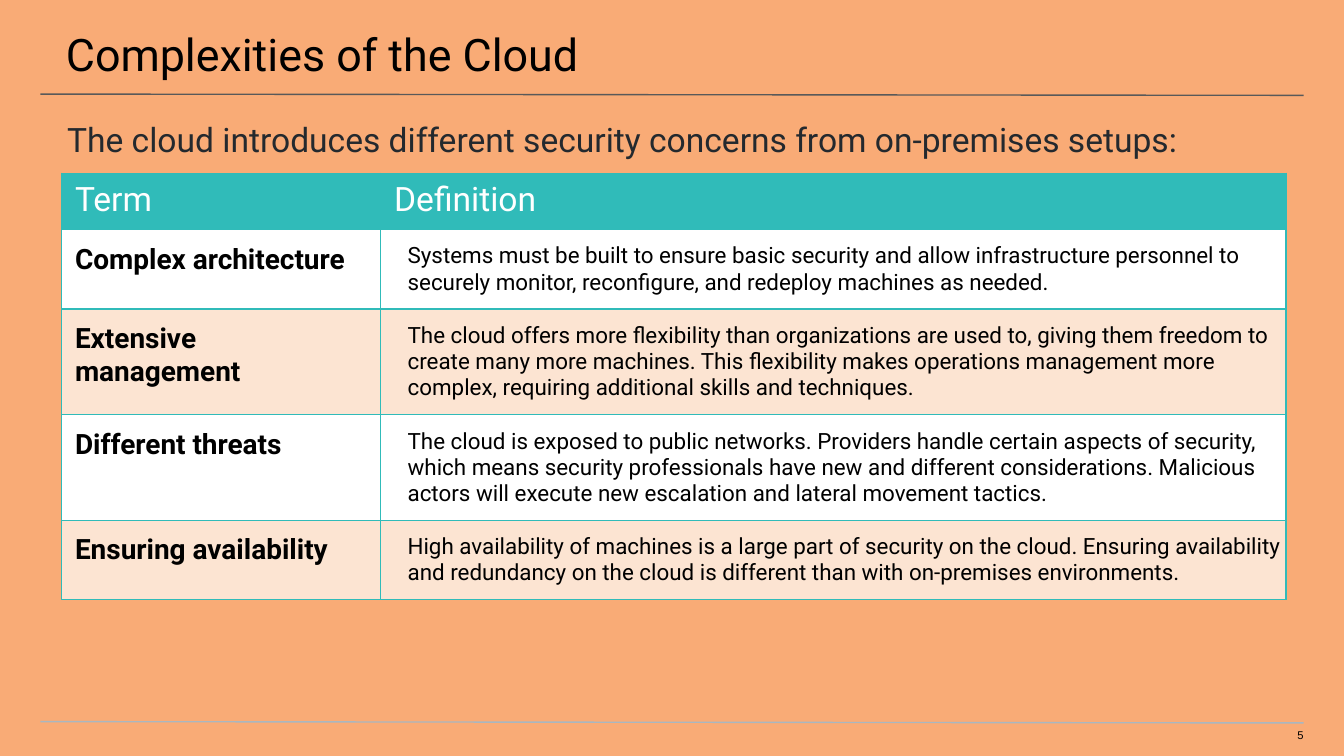
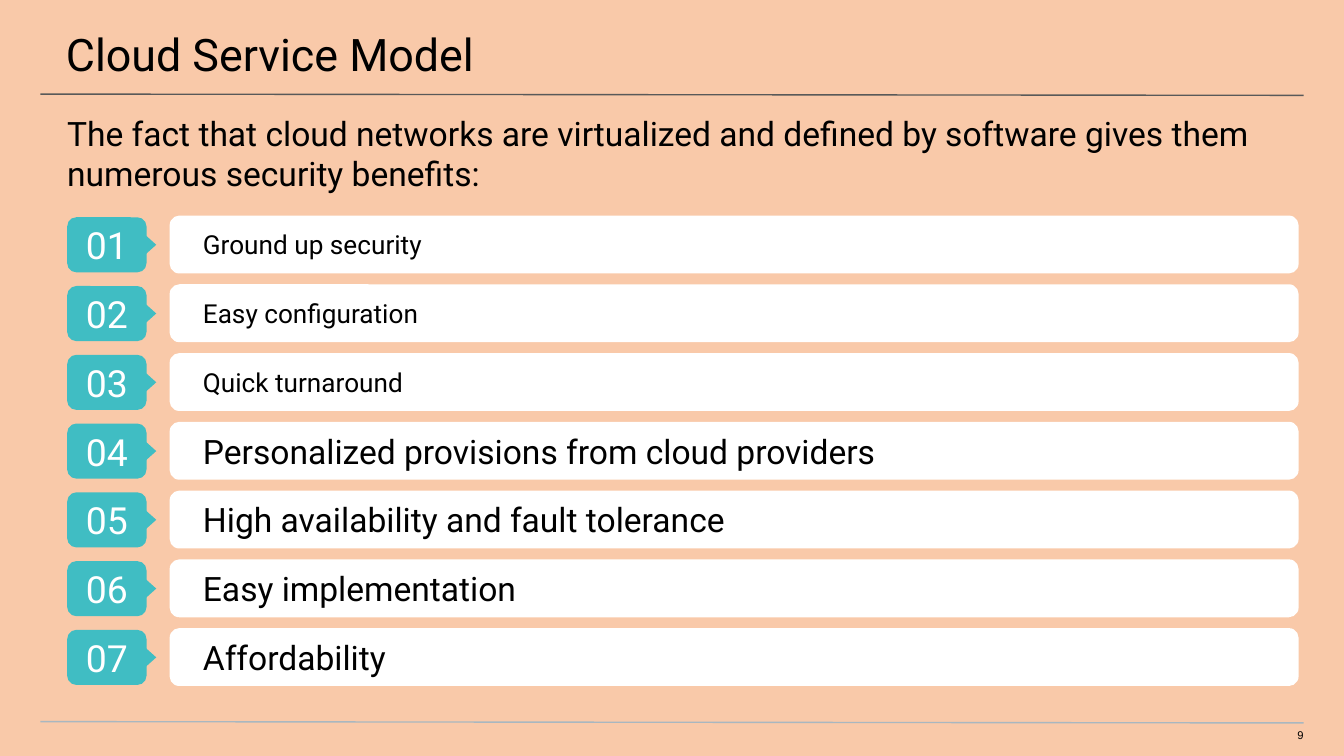
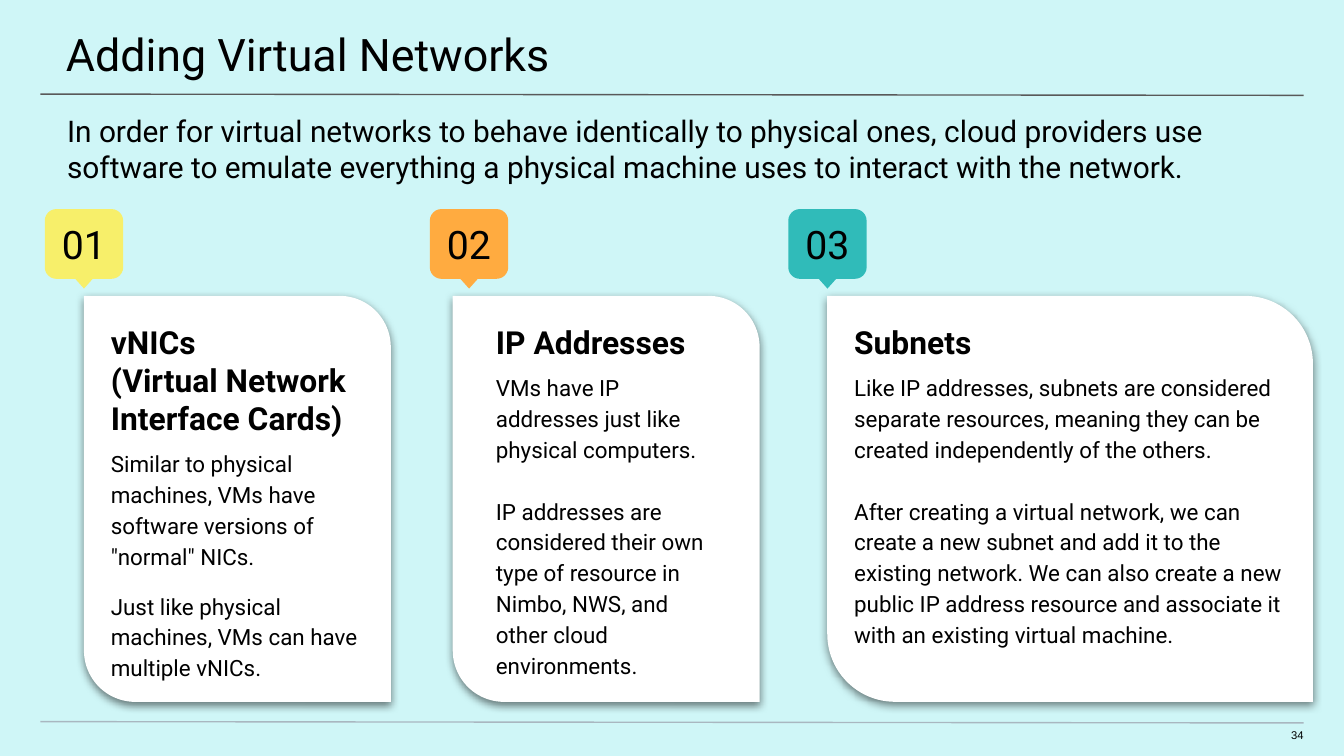
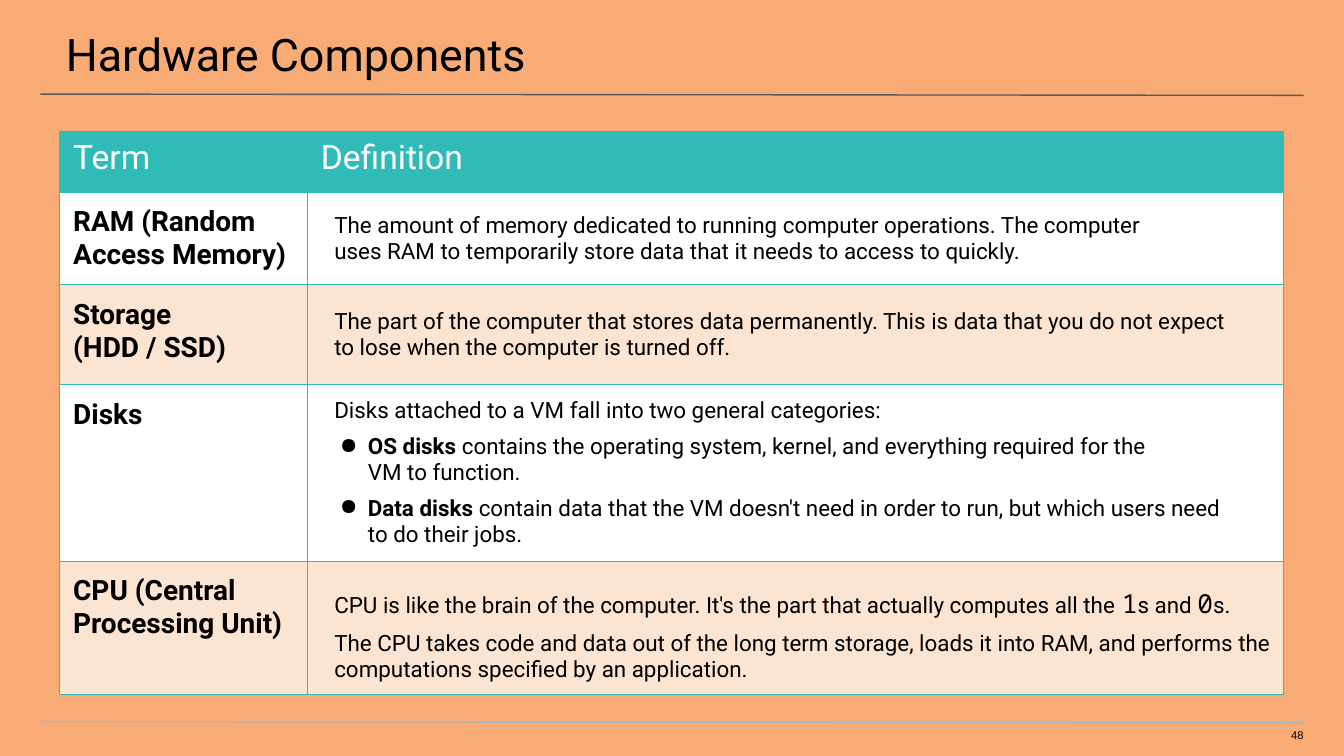
"""Build four slides about cloud networks and virtual hardware."""
from collections import namedtuple

from lxml import etree
from pptx import Presentation
from pptx.dml.color import RGBColor
from pptx.enum.shapes import MSO_CONNECTOR, MSO_SHAPE
from pptx.enum.text import MSO_ANCHOR, MSO_AUTO_SIZE, PP_ALIGN
from pptx.oxml.ns import qn
from pptx.util import Pt

TOP, MIDDLE = MSO_ANCHOR.TOP, MSO_ANCHOR.MIDDLE
LEFT, CENTER, RIGHT = PP_ALIGN.LEFT, PP_ALIGN.CENTER, PP_ALIGN.RIGHT
ROUNDED, POINTER = MSO_SHAPE.ROUNDED_RECTANGLE, MSO_SHAPE.FLOWCHART_EXTRACT
DIAGONAL = MSO_SHAPE.ROUND_2_DIAG_RECTANGLE
STRAIGHT = MSO_CONNECTOR.STRAIGHT
NO_FIT = MSO_AUTO_SIZE.NONE
TITLE_ONLY = 5

FONT, MONO, NUMBER_FONT = "Roboto", "Noto Sans Mono", "Arial"
BLACK, WHITE, TEAL, AQUA = "000000", "FFFFFF", "30BBB9", "40BDC3"
YELLOW, AMBER, INK = "F7EF6A", "FFAB40", "24292E"
ORANGE, PEACH, ICE, BAND = "F9AB76", "F9C9A9", "CFF6F7", "FCE4D2"
GREY, SILVER = "595959", "A9B7C0"
CORNER = 0.167

Para = namedtuple("Para", "runs size bold before after spacing bullet",
                  defaults=(None, None, 0, 0, None, False))
Run = namedtuple("Run", "text bold font size", defaults=(None, None, None))
Row = namedtuple("Row", "height term definition anchor bottom", defaults=(TOP, 7.2))


def rgb(value):
    return RGBColor.from_string(value)


def add_xml(parent, tag, **attrs):
    return etree.SubElement(parent, qn(tag), attrs)


def add_color(parent, color):
    return add_xml(parent, "a:srgbClr", val=color)


class Deck:
    def __init__(self):
        self.prs = Presentation()
        self.prs.slide_width, self.prs.slide_height = Pt(720), Pt(405)
        self.s = None

    def slide(self, title, number, background):
        self.s = self.prs.slides.add_slide(self.prs.slide_layouts[TITLE_ONLY])
        fill = self.s.background.fill
        fill.solid()
        fill.fore_color.rgb = rgb(background)
        self.rule(50.4, GREY)
        self.rule(386.6, SILVER)
        sp = self.s.shapes.title
        sp.left, sp.top, sp.width, sp.height = Pt(-0.7), Pt(0), Pt(722), Pt(41.8)
        sp.text_frame.auto_size = NO_FIT
        self.frame(sp.text_frame, (36, 14.4, 21.6, 7.2))
        self.paragraphs(sp.text_frame, [title], 24)
        self.text([str(number)], (677.5, 390.2, 20.9, 8.6), 6, insets=(0, 0, 0, 7.2),
                  align=RIGHT, font=NUMBER_FONT)

    def rule(self, y, color):
        line = self.s.shapes.add_connector(STRAIGHT, Pt(21.6), Pt(y), Pt(698.4), Pt(y + 0.7))
        line.line.color.rgb = rgb(color)
        line.line.width = Pt(0.75)
        add_xml(line.element.spPr, "a:effectLst")

    def frame(self, box, insets, anchor=TOP):
        box.margin_left, box.margin_top, box.margin_right, box.margin_bottom = map(Pt, insets)
        box.vertical_anchor = anchor

    def paragraphs(self, tf, paras, size, color=BLACK, align=LEFT, font=FONT, bold=False):
        for i, item in enumerate(paras):
            para = Para(item) if isinstance(item, str) else item
            p = tf.paragraphs[0] if i == 0 else tf.add_paragraph()
            if para.bullet:
                self.bullet(p)
            p.alignment = align
            p.space_before, p.space_after = Pt(para.before), Pt(para.after)
            if para.spacing:
                p.line_spacing = para.spacing
            p.font.name = font
            p.font.size = Pt(para.size or size)
            p.font.bold = bold if para.bold is None else para.bold
            p.font.color.rgb = rgb(color)
            runs = [Run(para.runs)] if isinstance(para.runs, str) else para.runs
            for run in runs:
                self.run(p, run)

    def run(self, p, run):
        for i, line in enumerate(run.text.split("\n")):
            if i:
                p.add_line_break()
            r = p.add_run()
            r.text = line
            if run.bold:
                r.font.bold = True
            if run.font:
                r.font.name = run.font
            if run.size:
                r.font.size = Pt(run.size)

    def bullet(self, p):
        pPr = p._p.get_or_add_pPr()
        pPr.set("marL", str(Pt(18)))
        pPr.set("indent", str(Pt(-15)))
        add_color(add_xml(pPr, "a:buClr"), BLACK)
        add_xml(pPr, "a:buChar", char="●")

    def text(self, paras, box, size, insets=(0, 0, 0, 0), anchor=TOP, **style):
        tf = self.s.shapes.add_textbox(*map(Pt, box)).text_frame
        tf.word_wrap = True
        tf.auto_size = NO_FIT
        self.frame(tf, insets, anchor)
        self.paragraphs(tf, paras, size, **style)

    def intro(self, para, size, color=BLACK):
        self.text([para], (0, 53.3, 720, 28.8), size, (36, 7.2, 28.8, 0), color=color)

    def shape(self, kind, box, fill, shapes=None):
        sp = (shapes or self.s.shapes).add_shape(kind, *map(Pt, box))
        sp.shadow.inherit = False
        sp.fill.solid()
        sp.fill.fore_color.rgb = rgb(fill)
        sp.line.fill.background()
        return sp

    def rounded(self, box, fill, shapes=None):
        sp = self.shape(ROUNDED, box, fill, shapes)
        sp.adjustments[0] = CORNER
        return sp

    def badge(self, label, box, fill, size, color, down=False):
        x, y, w, h = box
        shapes = self.s.shapes.add_group_shape().shapes
        sp = self.rounded(box, fill, shapes)
        sp.text_frame.word_wrap = True
        self.frame(sp.text_frame, (7.2,) * 4, MIDDLE)
        self.paragraphs(sp.text_frame, [label], size, color, CENTER)
        cx, cy = (x + w / 2, y + h - 0.5) if down else (x + w - 0.5, y + h / 2)
        pointer = self.shape(POINTER, (cx - 10.2, cy - 5.7, 20.4, 11.4), fill, shapes)
        pointer.rotation = 180 if down else 90

    def card(self, box):
        sp = self.shape(DIAGONAL, box, WHITE)
        sp.adjustments[0], sp.adjustments[1] = CORNER, 0
        spPr = sp.element.spPr
        spPr.find(qn("a:xfrm")).set("flipH", "1")
        shadow = add_xml(spPr.find(qn("a:effectLst")), "a:outerShdw", blurRad=str(Pt(4.5)),
                         dist=str(Pt(1.5)), dir="5400000", algn="bl", rotWithShape="0")
        add_xml(add_color(shadow, BLACK), "a:alpha", val="50000")

    def cell(self, cell, paras, fill, insets, size, anchor=TOP, **style):
        tcPr = cell._tc.get_or_add_tcPr()
        for side in "LRTB":
            ln = add_xml(tcPr, f"a:ln{side}", w=str(Pt(0.75)))
            add_color(add_xml(ln, "a:solidFill"), TEAL)
        cell.fill.solid()
        cell.fill.fore_color.rgb = rgb(fill)
        self.frame(cell, insets, anchor)
        self.paragraphs(cell.text_frame, paras, size, **style)

    def table(self, left, top, widths, header_height, rows):
        heights = [header_height] + [row.height for row in rows]
        table = self.s.shapes.add_table(len(heights), len(widths), Pt(left), Pt(top),
                                        Pt(sum(widths)), Pt(sum(heights))).table
        table.first_row = table.horz_banding = False
        for column, width in zip(table.columns, widths):
            column.width = Pt(width)
        for table_row, height in zip(table.rows, heights):
            table_row.height = Pt(height)
        for c, label in enumerate(("Term", "Definition")):
            self.cell(table.cell(0, c), [label], TEAL, (7.2, 3.6, 7.2, 0), 18, color=WHITE)
        for i, row in enumerate(rows, 1):
            fill = WHITE if i % 2 else BAND
            self.cell(table.cell(i, 0), [row.term], fill, (7.2,) * 4, 15, bold=True)
            self.cell(table.cell(i, 1), row.definition, fill, (14.4, 7.2, 0, row.bottom),
                      12, row.anchor)


def complexities(deck):
    deck.slide("Complexities of the Cloud", 5, ORANGE)
    deck.intro(Para("The cloud introduces different security concerns from on-premises setups:",
                    spacing=1.15), 18, INK)
    deck.table(33, 92.8, (171, 485), 30.2, [
        Row(42.6, "Complex architecture", [
            "Systems must be built to ensure basic security and allow infrastructure personnel "
            "to securely monitor, reconfigure, and redeploy machines as needed."]),
        Row(56.5, "Extensive management", [
            "The cloud offers more flexibility than organizations are used to, giving them "
            "freedom to create many more machines. This flexibility makes operations management "
            "more complex, requiring additional skills and techniques."]),
        Row(56.5, "Different threats", [
            "The cloud is exposed to public networks. Providers handle certain aspects of "
            "security, which means security professionals have new and different considerations. "
            "Malicious actors will execute new escalation and lateral movement tactics."]),
        Row(42.6, "Ensuring availability", [
            "High availability of machines is a large part of security on the cloud. Ensuring "
            "availability and redundancy on the cloud is different than with on-premises "
            "environments."]),
    ])


def service_model(deck):
    deck.slide("Cloud Service Model", 9, PEACH)
    deck.intro("The fact that cloud networks are virtualized and defined by software gives them "
               "numerous security benefits:", 18)
    benefits = [("Ground up security", 14), ("Easy configuration", 14), ("Quick turnaround", 14),
                ("Personalized provisions from cloud providers", 18),
                ("High availability and fault tolerance", 18),
                ("Easy implementation", 18), ("Affordability", 18)]
    for i, (benefit, size) in enumerate(benefits):
        y = 115.5 + 36.84 * i
        deck.rounded((90.9, y, 604.8, 31), WHITE)
        deck.text([benefit], (108.7, y, 510.5, 31), size, (0, 0, 36, 0), MIDDLE)
        deck.badge(f"{i + 1:02}", (36, y + 0.9, 42.5, 29.5), AQUA, 20, WHITE)


def virtual_networks(deck):
    deck.slide("Adding Virtual Networks", 34, ICE)
    deck.intro("In order for virtual networks to behave identically to physical ones, cloud "
               "providers use software to emulate everything a physical machine uses to interact "
               "with the network.", 16)
    cards = [
        (45, 164.4, 45, 164.4, 24, YELLOW, "vNICs\n(Virtual Network Interface Cards)",
         "Similar to physical machines, VMs have software versions of \"normal\" NICs.", 10,
         "Just like physical machines, VMs can have multiple vNICs."),
        (242.6, 164.4, 251.3, 147, 230.3, AMBER, "IP Addresses",
         "VMs have IP addresses just like physical computers.", 16.5,
         "IP addresses are considered their own type of resource in Nimbo, NWS, and other "
         "cloud environments."),
        (443.2, 260.2, 443.2, 260.2, 422.3, TEAL, "Subnets",
         "Like IP addresses, subnets are considered separate resources, meaning they can be "
         "created independently of the others.", 16.5,
         "After creating a virtual network, we can create a new subnet and add it to the "
         "existing network. We can also create a new public IP address resource and associate "
         "it with an existing virtual machine."),
    ]
    for i, (x, w, text_x, text_w, badge_x, fill, name, first, gap, second) in enumerate(cards, 1):
        deck.card((x, 158.5, w, 217.5))
        deck.text([Para(name, size=17, bold=True), Para(first, before=5, spacing=1.15),
                   Para(second, before=gap, spacing=1.15)],
                  (text_x, 158.5, text_w, 203), 12, (14.4,) * 4)
        deck.badge(f"{i:02}", (badge_x, 112, 42, 37.4), fill, 21, BLACK, down=True)


def hardware(deck):
    deck.slide("Hardware Components", 48, ORANGE)
    deck.table(32, 70.4, (132.7, 523), 32.5, [
        Row(49.2, "RAM (Random Access Memory)", [
            "The amount of memory dedicated to running computer operations. The computer",
            "uses RAM to temporarily store data that it needs to access to quickly."], MIDDLE),
        Row(53.5, "Storage\n(HDD / SSD)", [
            "The part of the computer that stores data permanently. This is data that you do "
            "not expect\nto lose when the computer is turned off."], MIDDLE),
        Row(94, "Disks", [
            "Disks attached to a VM fall into two general categories:",
            Para([Run("OS disks", bold=True),
                  Run(" contains the operating system, kernel, and everything required for the"
                      "\nVM to function.")], before=5, bullet=True),
            Para([Run("Data disks", bold=True),
                  Run(" contain data that the VM doesn't need in order to run, but which users "
                      "need\nto do their jobs.")], before=5, bullet=True)]),
        Row(71.2, "CPU (Central\nProcessing Unit)", [
            Para([Run("CPU is like the brain of the computer. It's the part that actually "
                      "computes all the "),
                  Run("1", font=MONO, size=14), Run("s and "),
                  Run("0", font=MONO, size=14), Run("s.")]),
            Para("The CPU takes code and data out of the long term storage, loads it into RAM, "
                 "and performs the computations specified by an application.",
                 before=5, after=10)], MIDDLE, 0),
    ])


def main():
    deck = Deck()
    for build in (complexities, service_model, virtual_networks, hardware):
        build(deck)
    deck.prs.save("out.pptx")


if __name__ == "__main__":
    main()
